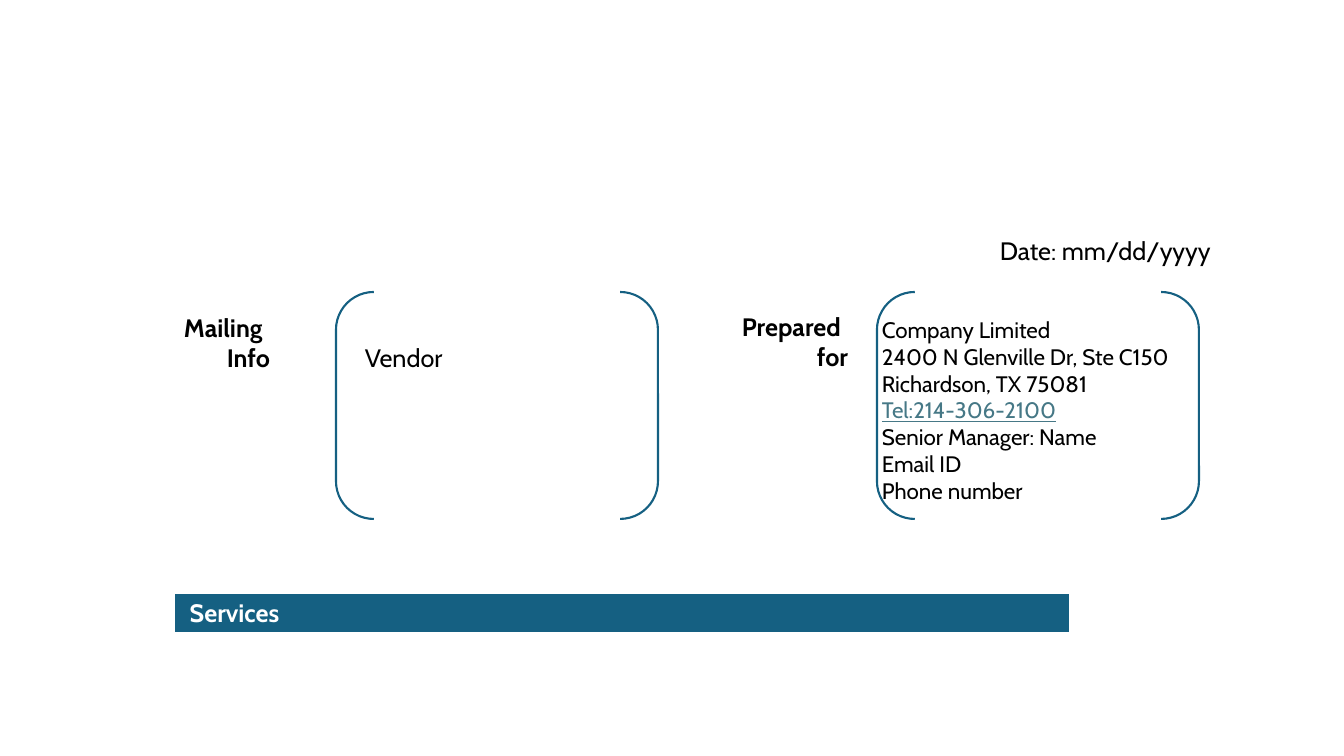
from lxml.etree import SubElement
from pptx import Presentation
from pptx.dml.color import RGBColor
from pptx.enum.shapes import MSO_SHAPE
from pptx.enum.text import PP_ALIGN
from pptx.oxml.ns import qn
from pptx.util import Pt

PX = 914400 / 100.8
BLACK = RGBColor(0x00, 0x00, 0x00)
WHITE = RGBColor(0xFF, 0xFF, 0xFF)
BLUE = RGBColor(0x15, 0x60, 0x82)
LINK = RGBColor(0x46, 0x78, 0x86)


def scale(*sizes):
    """Turn px into EMU."""
    return [round(size * PX) for size in sizes]


def write(frame, lines, **form):
    """Put one paragraph per line, with the font values in form."""
    frame.word_wrap = True
    for i, line in enumerate(lines):
        para = frame.paragraphs[0] if i == 0 else frame.add_paragraph()
        run = para.add_run()
        run.text = line
        font = run.font
        font.color.rgb = form.get("color", BLACK)
        for name, value in {"name": "Cabin", "size": Pt(18), **form}.items():
            if name != "color":
                setattr(font, name, value)
    return frame.paragraphs


deck = Presentation()
deck.slide_width, deck.slide_height = scale(1344, 756)
slide = deck.slides.add_slide(deck.slide_layouts[6])
shapes = slide.shapes

# Brackets
for left in (336, 877):
    pair = shapes.add_shape(MSO_SHAPE.DOUBLE_BRACKET, *scale(left, 292, 322, 227))
    pair.shadow.inherit = False
    pair.fill.background()
    pair.line.color.rgb = BLUE
    pair.line.width = Pt(1.5)

# Date and vendor
for text, place in (
    ("Date: mm/dd/yyyy", (990, 230, 287, 72)),
    ("Vendor", (355, 337, 279, 40)),
):
    write(shapes.add_textbox(*scale(*place)).text_frame, [text])

# Labels, second word set to the right
for words, place in (
    (("Mailing", "Info"), (174, 307, 106, 72)),
    (("Prepared", "for"), (732, 306, 126, 72)),
):
    label = shapes.add_textbox(*scale(*place))
    write(label.text_frame, words, bold=True)[1].alignment = PP_ALIGN.RIGHT

# Client address
client = shapes.add_textbox(*scale(872, 311, 356, 201))
lines = write(client.text_frame, (
    "Company Limited",
    "2400 N Glenville Dr, Ste C150",
    "Richardson, TX 75081",
    "Tel:214-306-2100",
    "Senior Manager: Name",
    "Email ID",
    "Phone number",
), size=Pt(16))
phone = lines[3].runs[0].font
phone.color.rgb = LINK
phone.underline = True

# Services bar
table = shapes.add_table(1, 1, *scale(174, 593, 896, 41)).table
table.first_row = table.horz_banding = False
cell = table.cell(0, 0)
write(cell.text_frame, [" Services"], bold=True, color=WHITE)
props = cell._tc.get_or_add_tcPr()
for side, width in {"L": 1, "R": 1, "T": 1, "B": 3}.items():
    edge = SubElement(props, qn(f"a:ln{side}"), w=str(Pt(width)))
    SubElement(SubElement(edge, qn("a:solidFill")), qn("a:srgbClr"), val=str(WHITE))
cell.fill.solid()
cell.fill.fore_color.rgb = BLUE

deck.save("out.pptx")
